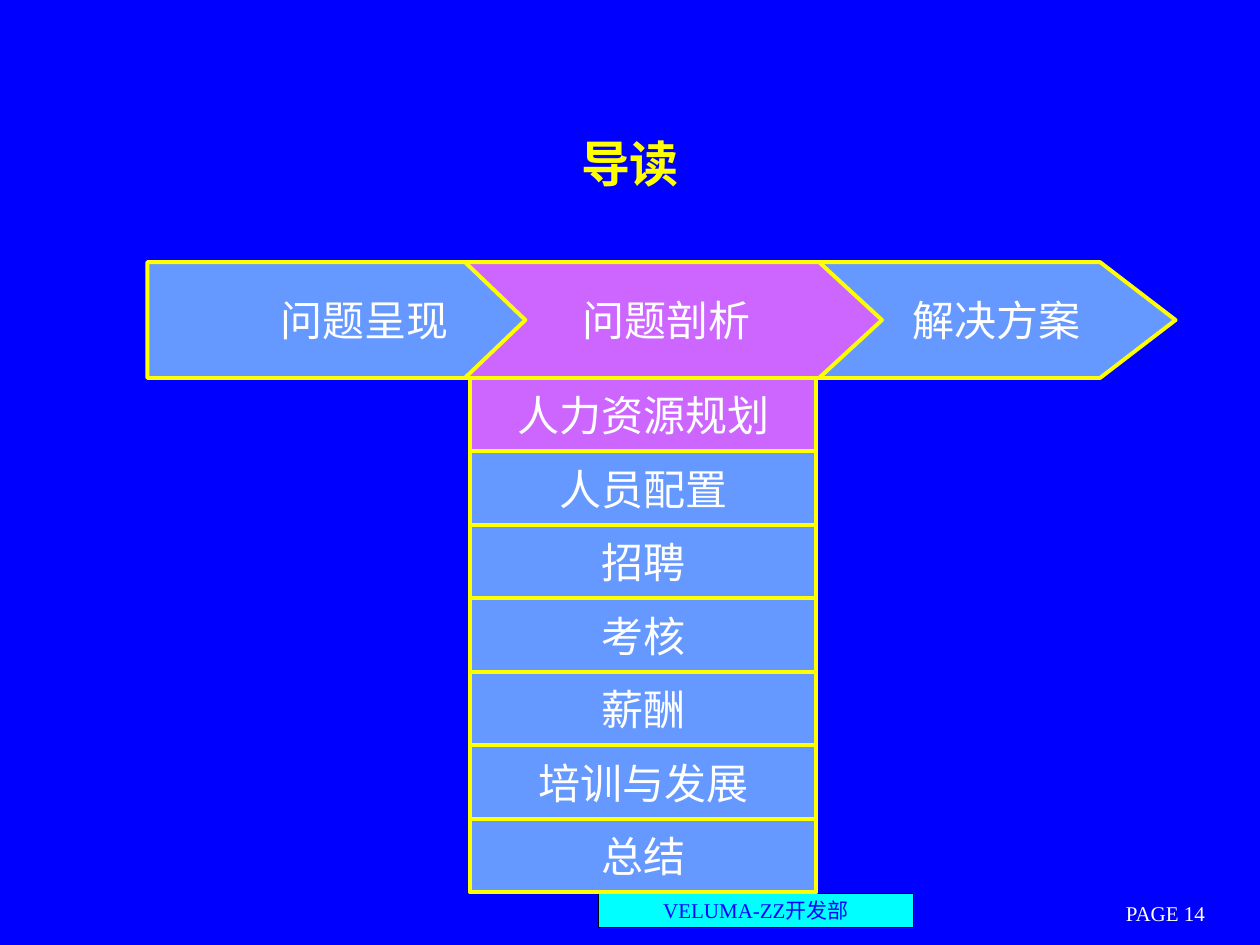
from dataclasses import dataclass

from pptx import Presentation, util as u
from pptx.dml.color import RGBColor
from pptx.enum import shapes, text


@dataclass(frozen=True)
class Theme:
    back: str = "0000FF"
    base: str = "6699FF"
    focus: str = "CC66FF"
    edge: str = "FFFF00"
    light: str = "FFFFFF"
    badge: str = "00FFFF"
    dark: str = "000000"
    head: int = 28
    body: int = 24
    small: int = 12
    font: str = "Times New Roman"
    bold_font: str = "Noto Sans CJK SC"


def write(shape, words, size, color, font, bold=False, wrap=False, inset=0.1):
    frame = shape.text_frame
    frame.word_wrap = wrap
    frame.vertical_anchor = text.MSO_ANCHOR.MIDDLE
    frame.margin_left = u.Inches(inset)
    para = frame.paragraphs[0]
    para.alignment = text.PP_ALIGN.CENTER
    run = para.add_run()
    run.text = words
    run.font.size = u.Pt(size)
    run.font.name = font
    run.font.bold = bold
    run.font.color.rgb = RGBColor.from_string(color)


class Deck:
    def __init__(self, theme):
        self.theme = theme
        self.file = Presentation()
        self.file.slide_width = u.Inches(10)
        self.file.slide_height = u.Inches(7.5)
        self.slide = self.file.slides.add_slide(self.file.slide_layouts[6])
        fill = self.slide.background.fill
        fill.solid()
        fill.fore_color.rgb = RGBColor.from_string(theme.back)

    def paint(self, shape, fill, line, width):
        shape.shadow.inherit = False
        shape.fill.solid()
        shape.fill.fore_color.rgb = RGBColor.from_string(fill)
        shape.line.color.rgb = RGBColor.from_string(line)
        shape.line.width = u.Pt(width)

    def label(self, words, box, **style):
        shape = self.slide.shapes.add_textbox(*map(u.Inches, box))
        write(shape, words, **style)

    def block(self, words, box, fill, line, width, **style):
        shape = self.slide.shapes.add_shape(
            shapes.MSO_SHAPE.RECTANGLE, *map(u.Inches, box))
        self.paint(shape, fill, line, width)
        write(shape, words, **style)

    def arrow(self, words, left, neck, tip, top, high, fill, line, width, **style):
        """Draw a pentagon whose head runs from neck to tip."""
        low = top + high
        points = [(neck, top), (tip, top + high / 2), (neck, low), (left, low)]
        pen = self.slide.shapes.build_freeform(
            u.Inches(left), u.Inches(top), scale=1.0)
        pen.add_line_segments(
            [(u.Inches(x), u.Inches(y)) for x, y in points], close=True)
        shape = pen.convert_to_shape()
        self.paint(shape, fill, line, width)
        write(shape, words, **style)


def main():
    theme = Theme()
    deck = Deck(theme)
    body = dict(size=theme.body, color=theme.light, font=theme.font)
    edge = dict(line=theme.edge, width=2.25)

    deck.block("VELUMA-ZZ开发部", (4.75, 7.09, 2.5, 0.27), theme.badge,
               theme.dark, 0.75, size=theme.small, color=theme.back,
               font=theme.font)
    deck.label("PAGE 14", (8.5, 7.12, 1.5, 0.25), size=theme.small,
               color=theme.light, font=theme.font)
    deck.label("导读", (0.75, 0.67, 8.5, 1.25), size=theme.head,
               color=theme.edge, font=theme.bold_font, bold=True, wrap=True)

    # Later stages lie behind earlier ones; the inset clears the overlap.
    stages = [
        ("解决方案", 5.75, 8.73, 9.33, theme.base, 0.84),
        ("问题剖析", 3.42, 6.5, 7, theme.focus, 0.26),
        ("问题呈现", 1.17, 3.69, 4.17, theme.base, 0.54),
    ]
    for words, left, neck, tip, fill, inset in stages:
        deck.arrow(words, left, neck, tip, 2.08, 0.92, fill, **edge,
                   wrap=True, inset=inset, **body)

    topics = ["人力资源规划", "人员配置", "招聘", "考核", "薪酬",
              "培训与发展", "总结"]
    step = 7 / 12
    for i, words in enumerate(topics):
        fill = theme.base if i else theme.focus
        deck.block(words, (3.73, 3 + i * step, 2.75, step), fill, **edge, **body)

    deck.file.save("out.pptx")


if __name__ == "__main__":
    main()
